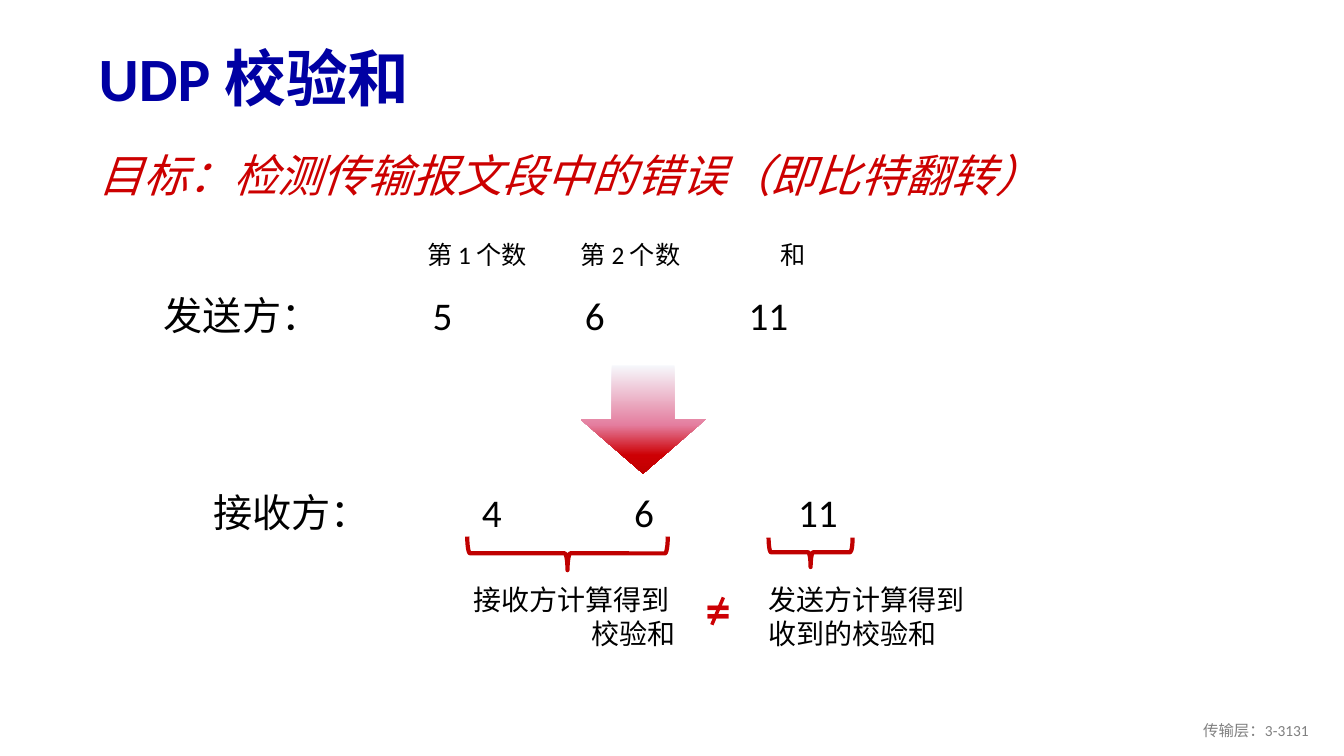
from dataclasses import dataclass

import pptx
import pptx.dml.color
import pptx.enum.shapes
import pptx.enum.text
import pptx.oxml
import pptx.oxml.ns
import pptx.util
from lxml import etree

EMU_PER_PX = 9525
FONT = "Calibri"
COLOURS = {
    "title": "0000A3",
    "goal": "CC0000",
    "text": "000000",
    "brace": "C00000",
    "unequal": "CD0004",
    "footer": "808080",
}
ARROW_STOPS = ((0, "F6F8FC"), (55, "E47E9F"), (83, "CD0004"), (100, "C00000"))
NUMBER_TABS = (256, 401, 557)

ALIGN = pptx.enum.text.PP_ALIGN
ANCHOR = pptx.enum.text.MSO_ANCHOR
SHAPE = pptx.enum.shapes.MSO_SHAPE


@dataclass(frozen=True)
class Label:
    lines: tuple[str, ...]
    left: int
    top: int
    width: int
    height: int
    size: int
    colour: str = "text"
    bold: bool = False
    italic: bool = False
    wrap: bool = False
    align: ALIGN = ALIGN.LEFT
    anchor: ANCHOR = ANCHOR.TOP
    spacing: float = 1.0
    inset: int = 10
    tabs: tuple[int, ...] = ()


@dataclass(frozen=True)
class Brace:
    left: int
    top: int
    width: int
    height: int


def number_row(name: str, numbers: tuple[int, ...], left: int, top: int) -> Label:
    line = "\t".join((name, *map(str, numbers)))
    return Label((line,), left, top, 1075, 60, 28, wrap=True, spacing=0.9,
                 inset=23, tabs=NUMBER_TABS)


LABELS = (
    Label(("UDP 校验和",), 84, 31, 1165, 94, 44, "title", bold=True, wrap=True,
          anchor=ANCHOR.MIDDLE, spacing=0.9),
    Label(("目标：检测传输报文段中的错误（即比特翻转）",), 84, 144, 1165, 89, 32,
          "goal", italic=True, wrap=True, spacing=0.85),
    Label(("第 1 个数",), 397, 223, 127, 38, 18),
    Label(("第 2 个数",), 543, 223, 132, 38, 18),
    Label(("和",), 733, 223, 43, 38, 18),
    number_row("发送方：", (5, 6, 11), 133, 278),
    number_row("接收方：", (4, 6, 11), 180, 465),
    Label(("接收方计算得到 ", "校验和"), 420, 550, 233, 74, 20, align=ALIGN.RIGHT),
    Label(("发送方计算得到", "收到的校验和"), 722, 550, 274, 74, 20),
    Label(("=",), 662, 546, 43, 68, 36, "unequal", bold=True),
    Label(("传输层：3-3131",), 968, 677, 288, 38, 11, "footer", wrap=True,
          align=ALIGN.RIGHT, anchor=ANCHOR.MIDDLE),
)
BRACES = (Brace(445, 511, 191, 32), Brace(732, 512, 80, 28))


def px(length: float) -> pptx.util.Emu:
    return pptx.util.Emu(round(length * EMU_PER_PX))


def colour(name: str) -> pptx.dml.color.RGBColor:
    return pptx.dml.color.RGBColor.from_string(COLOURS[name])


def add_tabs(para, stops: tuple[int, ...]) -> None:
    tag = pptx.oxml.ns.qn
    tab_list = etree.SubElement(para._p.get_or_add_pPr(), tag("a:tabLst"))
    for stop in stops:
        etree.SubElement(tab_list, tag("a:tab"), pos=str(px(stop)), algn="l")


def draw_label(page, label: Label) -> None:
    box = page.shapes.add_textbox(px(label.left), px(label.top),
                                  px(label.width), px(label.height))
    frame = box.text_frame
    frame.word_wrap = label.wrap
    frame.vertical_anchor = label.anchor
    frame.margin_left = px(label.inset)
    for index, line in enumerate(label.lines):
        para = frame.add_paragraph() if index else frame.paragraphs[0]
        para.alignment = label.align
        para.line_spacing = label.spacing
        if label.tabs:
            add_tabs(para, label.tabs)
        span = para.add_run()
        span.text = line
        span.font.name = FONT
        span.font.size = pptx.util.Pt(label.size)
        span.font.bold = label.bold
        span.font.italic = label.italic
        span.font.color.rgb = colour(label.colour)


def draw_brace(page, brace: Brace) -> None:
    """Turn a right brace by a quarter so that it fills the given bounds."""
    shift = (brace.width - brace.height) / 2
    shape = page.shapes.add_shape(SHAPE.RIGHT_BRACE, px(brace.left + shift),
                                  px(brace.top - shift), px(brace.height),
                                  px(brace.width))
    shape.rotation = 90
    shape.shadow.inherit = False
    shape.fill.background()
    shape.line.color.rgb = colour("brace")
    shape.line.width = pptx.util.Pt(3)


def draw_arrow(page) -> None:
    arrow = page.shapes.add_shape(SHAPE.DOWN_ARROW, px(553), px(348), px(119), px(103))
    arrow.shadow.inherit = False
    arrow.line.fill.background()
    arrow.fill.gradient()
    arrow.fill.gradient_angle = 270
    tag = pptx.oxml.ns.qn
    stop_list = arrow._element.spPr.find(".//" + tag("a:gsLst"))
    for stop in list(stop_list):
        stop_list.remove(stop)
    for percent, shade in ARROW_STOPS:
        stop = etree.SubElement(stop_list, tag("a:gs"), pos=str(percent * 1000))
        etree.SubElement(stop, tag("a:srgbClr"), val=shade)


def draw_unequal_stroke(page) -> None:
    stroke = page.shapes.add_connector(pptx.enum.shapes.MSO_CONNECTOR.STRAIGHT,
                                       px(689), px(569), px(678), px(595))
    stroke.line.color.rgb = colour("unequal")
    stroke.line.width = pptx.util.Pt(2.5)
    etree.SubElement(stroke._element.spPr, pptx.oxml.ns.qn("a:effectLst"))


def main() -> None:
    deck = pptx.Presentation()
    deck.slide_width, deck.slide_height = px(1280), px(720)
    page = deck.slides.add_slide(deck.slide_layouts[6])
    for label in LABELS:
        draw_label(page, label)
    draw_arrow(page)
    for brace in BRACES:
        draw_brace(page, brace)
    draw_unequal_stroke(page)
    deck.save("out.pptx")


if __name__ == "__main__":
    main()
